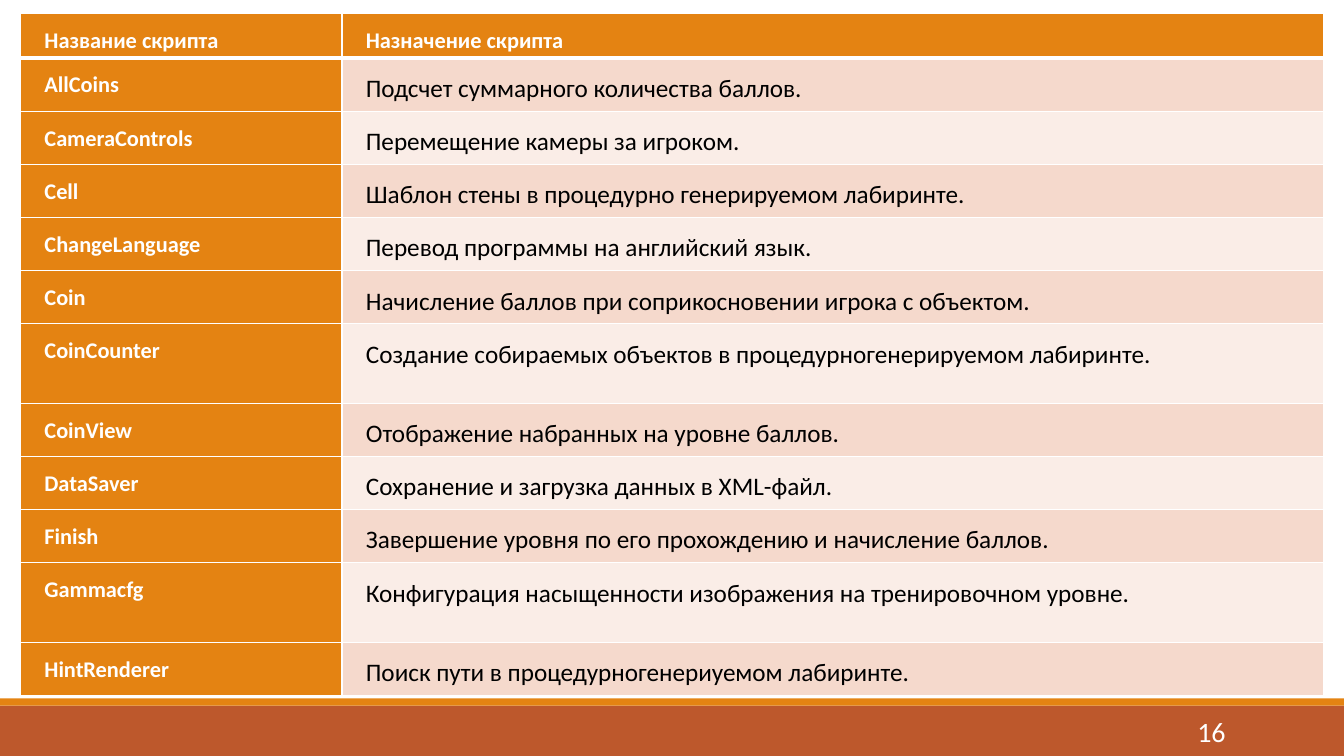
import pptx
import pptx.util
from lxml import etree
from pptx.dml.color import RGBColor
from pptx.enum.shapes import MSO_SHAPE
from pptx.enum.text import MSO_ANCHOR, PP_ALIGN
from pptx.oxml.ns import qn
from pptx.util import Cm, Pt

# Content
HEADER = ("Название скрипта", "Назначение скрипта")
SCRIPTS = [
    ("AllCoins", "Подсчет суммарного количества баллов."),
    ("CameraControls", "Перемещение камеры за игроком."),
    ("Cell", "Шаблон стены в процедурно генерируемом лабиринте."),
    ("ChangeLanguage", "Перевод программы на английский язык."),
    ("Coin", "Начисление баллов при соприкосновении игрока с объектом."),
    ("CoinCounter", "Создание собираемых объектов в процедурногенерируемом лабиринте."),
    ("CoinView", "Отображение набранных на уровне баллов."),
    ("DataSaver", "Сохранение и загрузка данных в XML-файл."),
    ("Finish", "Завершение уровня по его прохождению и начисление баллов."),
    ("Gammacfg", "Конфигурация насыщенности изображения на тренировочном уровне."),
    ("HintRenderer", "Поиск пути в процедурногенериуемом лабиринте."),
]
TALL_ROWS = ("CoinCounter", "Gammacfg")
PAGE = "16"

# Style
FONT = "Calibri"
ORANGE, RUST, WHITE, BLACK = "E48312", "BD582C", "FFFFFF", "000000"
BANDS = ("F5D9CC", "FAEDE7")
COL_WIDTHS = (8.1, 24.74)
HEADER_H, ROW_H, TALL_H = 1.12, 1.34, 2.0


def rgb(value):
    return RGBColor.from_string(value)


def style_font(p, size, color, bold=False):
    p.font.name, p.font.size, p.font.bold = FONT, Pt(size), bold
    p.font.color.rgb = rgb(color)


def add_bar(s, top, height, color):
    sp = s.shapes.add_shape(MSO_SHAPE.RECTANGLE, 0, Cm(top), prs.slide_width, Cm(height))
    sp.shadow.inherit = False
    sp.fill.solid()
    sp.fill.fore_color.rgb = rgb(color)
    sp.line.fill.background()


def set_border(cell, side, width):
    tcPr = cell._tc.get_or_add_tcPr()
    ln = etree.SubElement(tcPr, qn("a:ln" + side), w=str(Pt(width)))
    fill = etree.SubElement(ln, qn("a:solidFill"))
    etree.SubElement(fill, qn("a:srgbClr"), val=WHITE)


def fill_cell(cell, text, row, col):
    # Borders come before the fill; the rule under the header is thicker
    for side in "LRTB":
        under_header = (row, side) in ((0, "B"), (1, "T"))
        set_border(cell, side, 3 if under_header else 1)
    label = row == 0 or col == 0
    cell.fill.solid()
    cell.fill.fore_color.rgb = rgb(ORANGE if label else BANDS[(row - 1) % 2])
    cell.margin_left = cell.margin_right = Cm(0.1)
    cell.margin_top = cell.margin_bottom = 0
    p = cell.text_frame.paragraphs[0]
    p.text = text
    p.alignment, p.line_spacing = PP_ALIGN.JUSTIFY, 1.5
    pPr = p._p.get_or_add_pPr()
    pPr.set("marL", str(Cm(1.14)))
    pPr.set("indent", str(Cm(-0.64)))
    if label:
        style_font(p, 16, WHITE, True)
    else:
        style_font(p, 18, BLACK)


prs = pptx.Presentation()
prs.slide_width, prs.slide_height = Cm(33.87), Cm(19.05)
s = prs.slides.add_slide(prs.slide_layouts[6])

# Footer bars and page number
add_bar(s, 17.78, 1.27, RUST)
add_bar(s, 17.6, 0.18, ORANGE)
tf = s.shapes.add_textbox(Cm(27.51), Cm(17.93), Cm(3.63), Cm(1.02)).text_frame
tf.word_wrap = True
tf.vertical_anchor = MSO_ANCHOR.MIDDLE
p = tf.paragraphs[0]
p.text, p.alignment = PAGE, PP_ALIGN.RIGHT
style_font(p, 20, WHITE)

# Table of scripts
rows = [HEADER] + SCRIPTS
heights = [HEADER_H] + [TALL_H if name in TALL_ROWS else ROW_H for name, _ in SCRIPTS]
table = s.shapes.add_table(len(rows), len(COL_WIDTHS), Cm(0.52), Cm(0.34),
                           Cm(sum(COL_WIDTHS)), Cm(sum(heights))).table
for column, width in zip(table.columns, COL_WIDTHS):
    column.width = Cm(width)
for i, (texts, height) in enumerate(zip(rows, heights)):
    table.rows[i].height = Cm(height)
    for j, text in enumerate(texts):
        fill_cell(table.cell(i, j), text, i, j)

prs.save("out.pptx")
